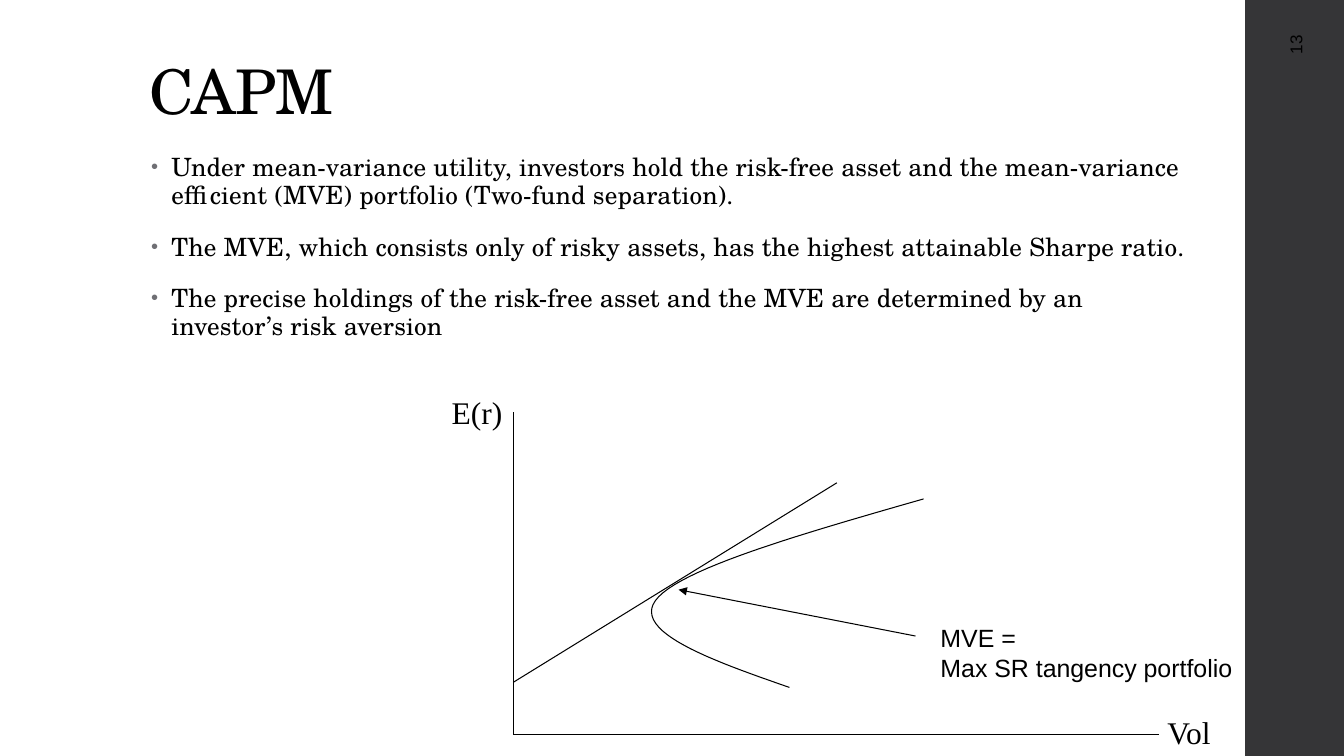
from lxml.etree import SubElement
from pptx import Presentation
from pptx.dml.color import RGBColor
from pptx.enum.shapes import MSO_CONNECTOR, MSO_SHAPE
from pptx.enum.text import MSO_ANCHOR, MSO_AUTO_SIZE, PP_ALIGN
from pptx.oxml.ns import qn
from pptx.util import Inches, Pt

SERIF = "TeX Gyre Schola"
AXIS_FONT = "Times New Roman"
SANS = "Arial"
BLACK = "000000"
BULLETS = [
    "Under mean-variance utility, investors hold the risk-free asset and the "
    "mean-variance efficient (MVE) portfolio (Two-fund separation).",
    "The MVE, which consists only of risky assets, has the highest attainable Sharpe ratio.",
    "The precise holdings of the risk-free asset and the MVE are determined by an "
    "investor’s risk aversion",
]
ORIGIN = (5.09, 7.29)
FRONTIER = [
    [(9.16, 4.95), (7.94, 5.3), (6.72, 5.65), (6.5, 5.96)],
    [(6.5, 5.96), (6.28, 6.27), (7.05, 6.55), (7.83, 6.82)],
]
STEPS = 24


def color(value):
    return RGBColor.from_string(value)


def apply(target, values):
    for name, value in values.items():
        setattr(target, name, value)


def place(shape, left, top, width, height):
    apply(shape, {"left": Inches(left), "top": Inches(top),
                  "width": Inches(width), "height": Inches(height)})


def write(frame, lines, font, size, spacing=0, **layout):
    for index, line in enumerate(lines):
        para = frame.paragraphs[0] if index == 0 else frame.add_paragraph()
        apply(para, {"alignment": PP_ALIGN.LEFT, **layout})
        span = para.add_run()
        span.text = line
        apply(span.font, {"name": font, "size": Pt(size)})
        span.font.color.rgb = color(BLACK)
        if spacing:
            span.font._element.set("spc", str(spacing))


def add_bullet(para):
    properties = para._p.get_or_add_pPr()
    properties.set("marL", str(Inches(0.2)))
    properties.set("indent", str(-Inches(0.2)))
    tint = SubElement(properties, qn("a:buClr"))
    SubElement(tint, qn("a:srgbClr"), val="6F6F74")
    SubElement(properties, qn("a:buSzPct"), val="80000")
    SubElement(properties, qn("a:buFont"), typeface=SANS)
    SubElement(properties, qn("a:buChar"), char="•")


def add_label(page, area, lines, font, size, **layout):
    box = page.shapes.add_textbox(*map(Inches, area))
    apply(box.text_frame, {"word_wrap": False, "auto_size": MSO_AUTO_SIZE.SHAPE_TO_FIT_TEXT})
    write(box.text_frame, lines, font, size, **layout)
    return box


def style_line(line):
    line.color.rgb = color(BLACK)
    line.width = Pt(0.75)


def add_line(page, start, end, arrow=False):
    connector = page.shapes.add_connector(MSO_CONNECTOR.STRAIGHT, *map(Inches, start + end))
    style_line(connector.line)
    if arrow:
        SubElement(connector.line._get_or_add_ln(), qn("a:headEnd"), type="triangle")
    SubElement(connector._element.spPr, qn("a:effectLst"))


def bezier_point(controls, t):
    weights = ((1 - t) ** 3, 3 * t * (1 - t) ** 2, 3 * t ** 2 * (1 - t), t ** 3)
    return tuple(Inches(sum(w * point[axis] for w, point in zip(weights, controls)))
                 for axis in (0, 1))


def add_curve(page, segments):
    points = [bezier_point(controls, step / STEPS)
              for controls in segments for step in range(1, STEPS + 1)]
    builder = page.shapes.build_freeform(*map(Inches, segments[0][0]))
    builder.add_line_segments(points, close=False)
    curve = builder.convert_to_shape()
    curve.fill.background()
    style_line(curve.line)
    curve.shadow.inherit = False


def add_side_bar(page):
    bar = page.shapes.add_shape(MSO_SHAPE.RECTANGLE, *map(Inches, (12.35, 0, 1, 7.5)))
    bar.fill.solid()
    bar.fill.fore_color.rgb = color("353537")
    bar.line.fill.background()
    bar.shadow.inherit = False


def add_page_number(page):
    number = add_label(page, (11.81, 1.09, 2.08, 0.4), ["13"], SANS, 12.2,
                       alignment=PP_ALIGN.RIGHT)
    number.rotation = 270
    apply(number.text_frame, {"word_wrap": True, "auto_size": MSO_AUTO_SIZE.NONE,
                              "vertical_anchor": MSO_ANCHOR.MIDDLE})


def fill_placeholders(page):
    title, body = page.shapes.title, page.placeholders[1]
    place(title, 1.38, 0.4, 10.6, 0.92)
    place(body, 1.4, 1.47, 10.58, 5.38)
    apply(title.text_frame, {"vertical_anchor": MSO_ANCHOR.BOTTOM,
                             "auto_size": MSO_AUTO_SIZE.NONE})
    body.text_frame.auto_size = MSO_AUTO_SIZE.NONE
    write(title.text_frame, ["CAPM"], SERIF, 44, -50, line_spacing=0.9)
    write(body.text_frame, BULLETS, SERIF, 18, 10, line_spacing=0.95,
          space_before=Pt(14), space_after=Pt(2))
    for para in body.text_frame.paragraphs:
        add_bullet(para)


def add_frontier_diagram(page):
    add_line(page, (ORIGIN[0], 4.09), ORIGIN)
    add_line(page, ORIGIN, (11.5, ORIGIN[1]))
    add_curve(page, FRONTIER)
    add_line(page, (ORIGIN[0], 6.77), (8.3, 4.79))
    add_line(page, (6.73, 5.85), (9.08, 6.31), arrow=True)
    add_label(page, (4.38, 3.85, 0.71, 0.48), ["E(r)"], AXIS_FONT, 22.5)
    add_label(page, (11.48, 7.02, 0.63, 0.48), ["Vol"], AXIS_FONT, 22.5)
    add_label(page, (9.23, 6.13, 3.13, 0.7), ["MVE =", "Max SR tangency portfolio"], SANS, 17.8)


def main():
    deck = Presentation()
    apply(deck, {"slide_width": Inches(13.33), "slide_height": Inches(7.5)})
    page = deck.slides.add_slide(deck.slide_layouts[1])
    add_side_bar(page)
    fill_placeholders(page)
    add_page_number(page)
    add_frontier_diagram(page)
    deck.save("out.pptx")


if __name__ == "__main__":
    main()
